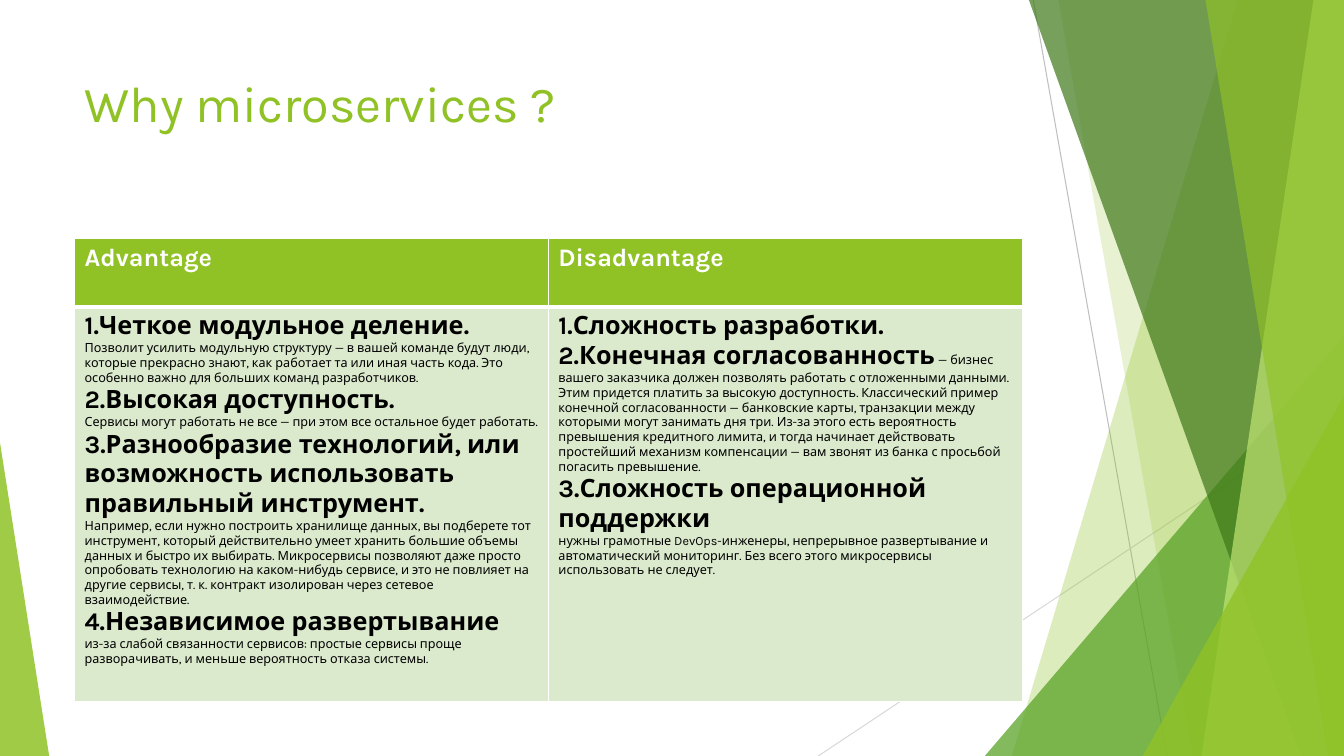
from dataclasses import dataclass

from lxml.etree import SubElement
from pptx import Presentation
from pptx.dml.color import RGBColor
from pptx.enum.shapes import MSO_CONNECTOR as Connector, MSO_SHAPE as Preset
from pptx.enum.text import MSO_ANCHOR as Anchor, MSO_AUTO_SIZE as AutoSize, PP_ALIGN as Align
from pptx.oxml.ns import qn
from pptx.util import Cm, Pt

WIDTH, HEIGHT = 33.87, 19.05


@dataclass(frozen=True)
class Theme:
    font: str = "Karla"
    lime: str = "90C226"
    green: str = "54A021"
    forest: str = "3F7819"
    pale_lime: str = "C0E474"
    cell: str = "DBE9CD"
    white: str = "FFFFFF"
    black: str = "000000"
    dark_line: str = "BFBFBF"
    light_line: str = "D9D9D9"
    title_size: int = 36
    heading_size: int = 18
    detail_size: int = 9


class SlideBuilder:
    def __init__(self, slide, theme):
        self.slide = slide
        self.theme = theme

    def style_font(self, font, size, color, bold=False):
        font.name = self.theme.font
        font.size = Pt(size)
        font.bold = bold
        font.color.rgb = RGBColor.from_string(color)

    def style_shape(self, shape, color, opacity):
        shape.shadow.inherit = False
        shape.line.fill.background()
        shape.fill.solid()
        shape.fill.fore_color.rgb = RGBColor.from_string(color)
        color_element = shape.fill._xPr.find(qn("a:solidFill"))[0]
        SubElement(color_element, qn("a:alpha"), val=str(opacity * 1000))

    def title(self, text, left, top, width, height):
        shape = self.slide.shapes.title
        shape.left, shape.top, shape.width, shape.height = map(Cm, (left, top, width, height))
        frame = shape.text_frame
        frame.text = text
        frame.auto_size = AutoSize.NONE
        frame.vertical_anchor = Anchor.TOP
        paragraph = frame.paragraphs[0]
        paragraph.alignment = Align.LEFT
        self.style_font(paragraph.font, self.theme.title_size, self.theme.lime)

    def line(self, start, end, color):
        connector = self.slide.shapes.add_connector(
            Connector.STRAIGHT, *map(Cm, (*start, *end)))
        connector.line.width = Pt(0.75)
        connector.line.color.rgb = RGBColor.from_string(color)
        SubElement(connector._element.spPr, qn("a:effectLst"))

    def panel(self, top_left, bottom_left, color, opacity):
        builder = self.slide.shapes.build_freeform(Cm(top_left), 0)
        corners = [(WIDTH, 0), (WIDTH, HEIGHT), (bottom_left, HEIGHT)]
        builder.add_line_segments([(Cm(x), Cm(y)) for x, y in corners], close=True)
        self.style_shape(builder.convert_to_shape(), color, opacity)

    def triangle(self, left, top, width, apex, color, opacity):
        shape = self.slide.shapes.add_shape(
            Preset.ISOSCELES_TRIANGLE, *map(Cm, (left, top, width, HEIGHT - top)))
        shape.adjustments[0] = apex
        self.style_shape(shape, color, opacity)

    def border(self, cell, bottom_width):
        properties = cell._tc.get_or_add_tcPr()
        for side, width in (("L", 1), ("R", 1), ("T", 1), ("B", bottom_width)):
            edge = SubElement(properties, qn(f"a:ln{side}"), w=str(Pt(width)))
            fill = SubElement(edge, qn("a:solidFill"))
            SubElement(fill, qn("a:srgbClr"), val=self.theme.white)

    def fill_cell(self, cell, paragraphs, text_color, fill_color, bottom_width):
        self.border(cell, bottom_width)
        cell.fill.solid()
        cell.fill.fore_color.rgb = RGBColor.from_string(fill_color)
        sizes = {True: self.theme.heading_size, False: self.theme.detail_size}
        for index, runs in enumerate(paragraphs):
            frame = cell.text_frame
            paragraph = frame.add_paragraph() if index else frame.paragraphs[0]
            for bold, text in runs:
                run = paragraph.add_run()
                run.text = text
                font = paragraph.font if len(runs) == 1 else run.font
                self.style_font(font, sizes[bold], text_color, bold)

    def table(self, columns, left, top, width, row_heights):
        theme = self.theme
        table = self.slide.shapes.add_table(
            len(row_heights), len(columns),
            *map(Cm, (left, top, width, sum(row_heights)))).table
        table.horz_banding = False
        for row, height in zip(table.rows, row_heights):
            row.height = Cm(height)
        for index, (heading, paragraphs) in enumerate(columns.items()):
            self.fill_cell(table.cell(0, index), [[(True, heading)]],
                           theme.white, theme.lime, 3)
            self.fill_cell(table.cell(1, index), paragraphs, theme.black, theme.cell, 1)


def heading(text):
    return [(True, text)]


def detail(text):
    return [(False, text)]


COLUMNS = {
    "Advantage": [
        heading("1.Четкое модульное деление."),
        detail("Позволит усилить модульную структуру — в вашей команде будут люди, "
               "которые прекрасно знают, как работает та или иная часть кода. "
               "Это особенно важно для больших команд разработчиков."),
        heading("2.Высокая доступность."),
        detail("Сервисы могут работать не все — при этом все остальное будет работать."),
        heading("3.Разнообразие технологий, или возможность использовать "
                "правильный инструмент."),
        detail("Например, если нужно построить хранилище данных, вы подберете тот "
               "инструмент, который действительно умеет хранить большие объемы данных "
               "и быстро их выбирать. Микросервисы позволяют даже просто опробовать "
               "технологию на каком-нибудь сервисе, и это не повлияет на другие "
               "сервисы, т. к. контракт изолирован через сетевое взаимодействие."),
        heading("4.Независимое развертывание"),
        detail("из-за слабой связанности сервисов: простые сервисы проще "
               "разворачивать, и меньше вероятность отказа системы."),
    ],
    "Disadvantage": [
        heading("1.Сложность разработки."),
        heading("2.Конечная согласованность") + detail(
            "\u00a0— бизнес вашего заказчика должен позволять работать с отложенными "
            "данными. Этим придется платить за высокую доступность. Классический "
            "пример конечной согласованности — банковские карты, транзакции между "
            "которыми могут занимать дня три. Из-за этого есть вероятность превышения "
            "кредитного лимита, и тогда начинает действовать простейший механизм "
            "компенсации — вам звонят из банка с просьбой погасить превышение."),
        heading("3.Сложность операционной поддержки"),
        detail("нужны грамотные DevOps-инженеры, непрерывное развертывание и "
               "автоматический мониторинг. Без всего этого микросервисы "
               "использовать не следует."),
    ],
}

presentation = Presentation()
presentation.slide_width, presentation.slide_height = Cm(WIDTH), Cm(HEIGHT)
theme = Theme()
builder = SlideBuilder(
    presentation.slides.add_slide(presentation.slide_layouts.get_by_name("Title Only")), theme)

builder.line((26.04, 0), (29.41, HEIGHT), theme.dark_line)
builder.line((WIDTH, 10.24), (20.62, HEIGHT), theme.light_line)
builder.panel(31.19, 25.5, theme.lime, 30)
builder.panel(26.67, 30.05, theme.lime, 20)
builder.triangle(24.82, 8.46, 9.05, 1, theme.green, 72)
builder.panel(25.93, 32.79, theme.forest, 70)
builder.panel(33.1, 30.28, theme.pale_lime, 70)
builder.panel(30.38, 33.48, theme.lime, 65)
builder.triangle(28.8, 9.98, 5.07, 1, theme.lime, 80)
builder.triangle(0, 11.15, 1.24, 0, theme.lime, 85)

builder.title("Why microservices ?", 1.88, 1.7, 23.88, 3.66)
builder.table(COLUMNS, 1.88, 6, 23.88, (1.73, 9.95))

presentation.save("out.pptx")
